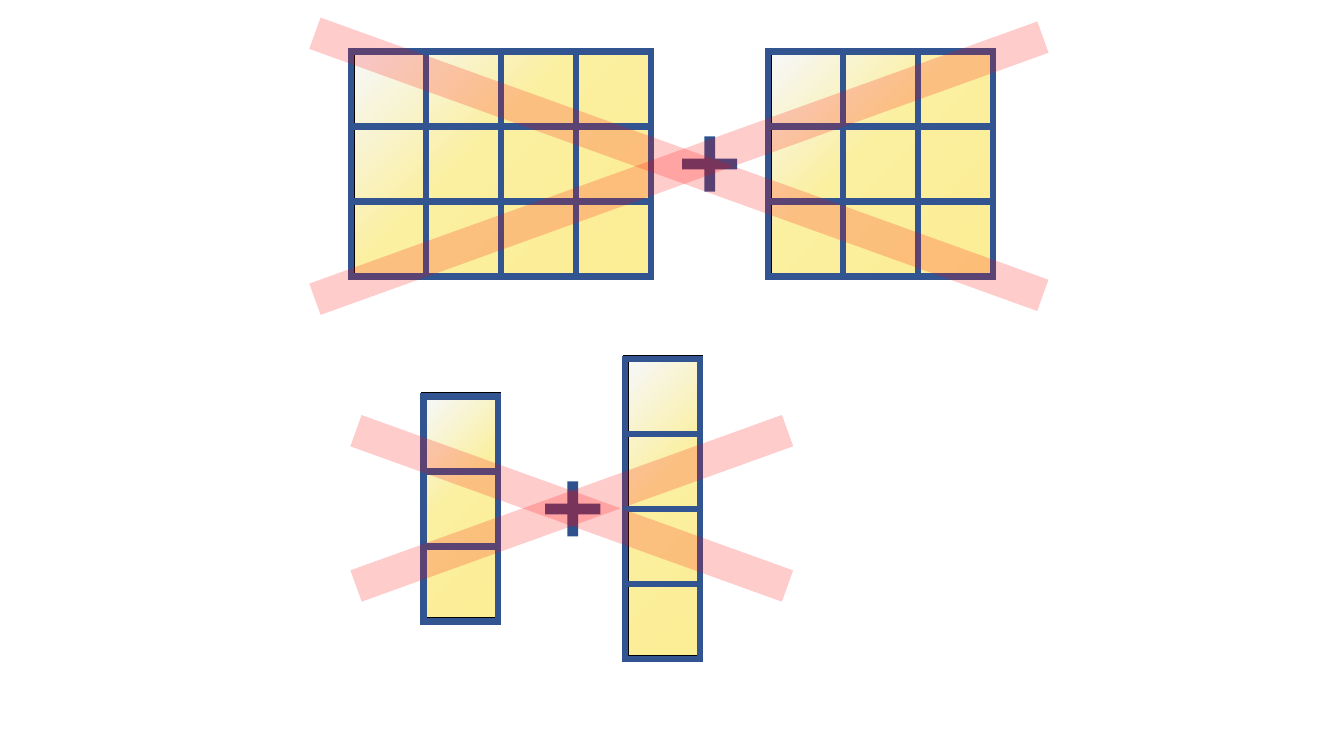
"""Build a slide of crossed-out sums of square grids."""
import copy
from dataclasses import dataclass

import lxml.etree
import pptx
import pptx.dml.color
import pptx.enum.shapes
import pptx.oxml.ns
import pptx.util
from pptx.util import Cm

SHAPE = pptx.enum.shapes.MSO_SHAPE


@dataclass(frozen=True)
class Theme:
    cell_line: str = "325491"
    panel_line: str = "000000"
    plus: str = "2F528F"
    strike: str = "FF0000"
    strike_opacity: int = 20
    gradient: tuple = ((0, "F6F8FC"), (0.43, "FBEFA0"), (1, "FCEE94"))
    line_width: float = 4.5
    cell: float = 1.89
    panel_inset: float = 0.02
    strike_width: float = 0.84
    strike_angle: float = 70.2


class GridSlide:
    def __init__(self, slide, theme):
        self.slide = slide
        self.theme = theme

    def shape(self, shapes, kind, left, top, width, height):
        shape = shapes.add_shape(kind, Cm(left), Cm(top), Cm(width), Cm(height))
        shape.shadow.inherit = False
        shape.line.fill.background()
        return shape

    def fill(self, shape, color):
        shape.fill.solid()
        shape.fill.fore_color.rgb = pptx.dml.color.RGBColor.from_string(color)

    def outline(self, shape, color):
        shape.line.color.rgb = pptx.dml.color.RGBColor.from_string(color)
        shape.line.width = pptx.util.Pt(self.theme.line_width)
        join = lxml.etree.SubElement(shape.line._ln, pptx.oxml.ns.qn("a:miter"))
        join.set("lim", "800000")

    def shade(self, shape):
        shape.fill.gradient()
        shape.fill.gradient_angle = 315
        stop_list = shape._element.spPr.find(".//" + pptx.oxml.ns.qn("a:gsLst"))
        stop_list.append(copy.deepcopy(stop_list[-1]))
        for stop, (position, color) in zip(shape.fill.gradient_stops, self.theme.gradient):
            stop.position = position
            stop.color.rgb = pptx.dml.color.RGBColor.from_string(color)

    def grid(self, left, top, columns, rows):
        cell, inset = self.theme.cell, self.theme.panel_inset
        shapes = self.slide.shapes.add_group_shape().shapes
        panel = self.shape(shapes, SHAPE.RECTANGLE, left + inset, top - inset,
                           columns * cell - inset, rows * cell)
        self.shade(panel)
        self.outline(panel, self.theme.panel_line)
        for row in range(rows):
            for column in range(columns):
                square = self.shape(shapes, SHAPE.RECTANGLE, left + column * cell,
                                    top + row * cell, cell, cell)
                square.fill.background()
                self.outline(square, self.theme.cell_line)

    def plus(self, left, top):
        sign = self.shape(self.slide.shapes, SHAPE.MATH_PLUS, left, top,
                          self.theme.cell, self.theme.cell)
        sign.adjustments[0] = 0.143
        self.fill(sign, self.theme.plus)

    def strike(self, center_x, center_y, length, angle):
        width = self.theme.strike_width
        bar = self.shape(self.slide.shapes, SHAPE.RECTANGLE, center_x - width / 2,
                         center_y - length / 2, width, length)
        bar.rotation = angle
        self.fill(bar, self.theme.strike)
        color = bar._element.spPr.find(".//" + pptx.oxml.ns.qn("a:srgbClr"))
        alpha = lxml.etree.SubElement(color, pptx.oxml.ns.qn("a:alpha"))
        alpha.set("val", str(self.theme.strike_opacity * 1000))

    def cross(self, center_x, rising_y, falling_y, length):
        angle = self.theme.strike_angle
        self.strike(center_x, rising_y, length, angle)
        self.strike(center_x, falling_y, length, 360 - angle)


def main():
    presentation = pptx.Presentation()
    presentation.slide_width = Cm(33.87)
    presentation.slide_height = Cm(19.05)
    slide = presentation.slides.add_slide(presentation.slide_layouts[6])
    sums = GridSlide(slide, Theme())

    sums.grid(8.85, 1.3, columns=4, rows=3)
    sums.grid(19.36, 1.3, columns=3, rows=3)
    sums.plus(16.94, 3.19)
    sums.grid(10.67, 9.99, columns=1, rows=3)
    sums.plus(13.49, 11.88)
    sums.grid(15.75, 9.05, columns=1, rows=4)
    sums.cross(17.11, rising_y=4.24, falling_y=4.14, length=19.5)
    sums.cross(14.41, rising_y=12.81, falling_y=12.81, length=11.56)

    presentation.save("out.pptx")


if __name__ == "__main__":
    main()
